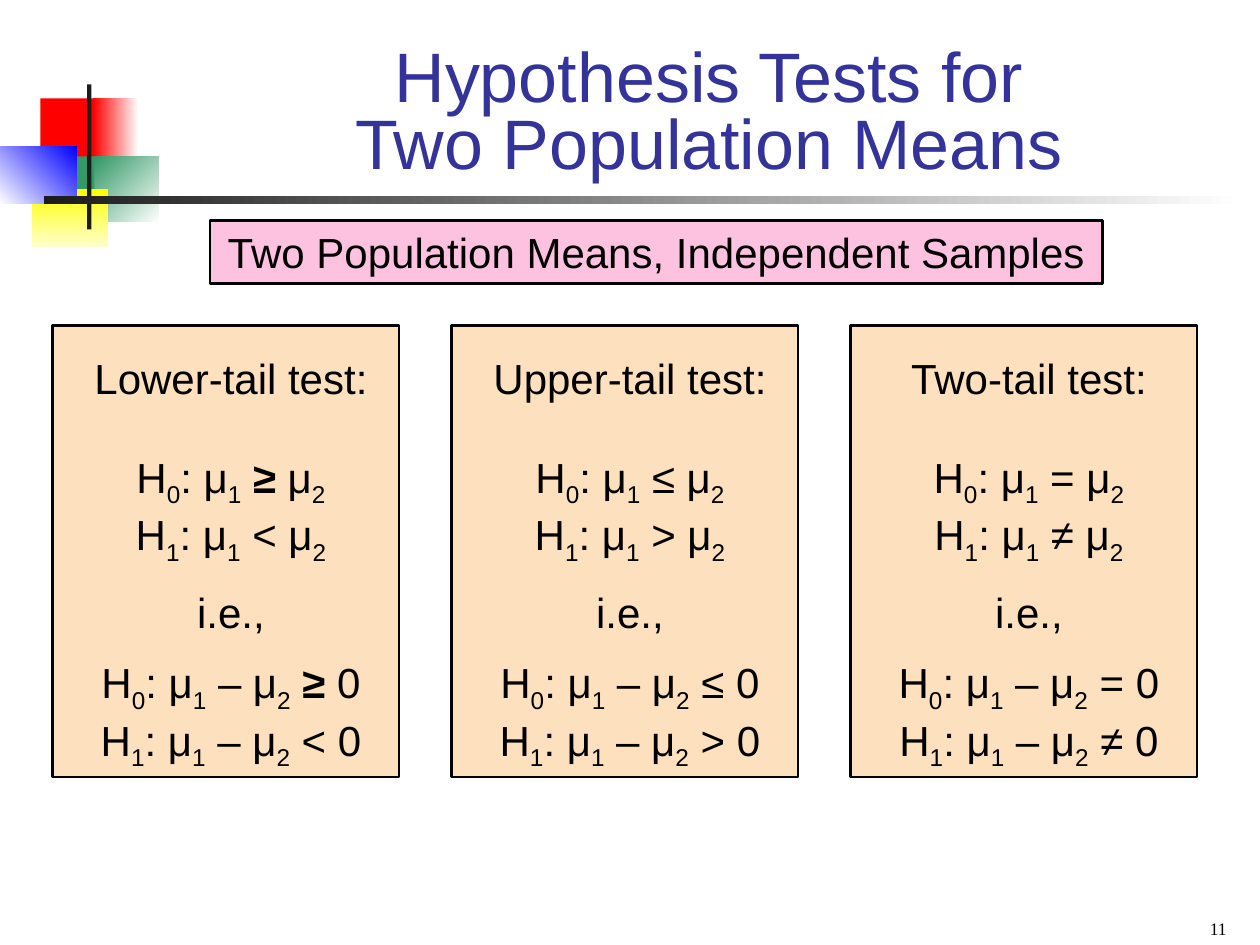
from itertools import groupby

from lxml import etree
from pptx import Presentation
from pptx import util as u
from pptx.dml.color import RGBColor
from pptx.enum import shapes, text
from pptx.oxml.ns import qn

COLORS = {
    "white": "FFFFFF", "black": "000000", "ink": "1C1C1C", "title": "333399",
    "red": "FF0000", "green": "339966", "yellow": "FFFF00", "cream": "FFFFCC",
    "blue": "0000FF", "card": "FDE0BD", "banner": "FCC2E0",
}
SLIDE_W, SLIDE_H = u.Inches(10), u.Inches(7.5)
COLUMNS, ROWS = 120, 90
BODY = {"size": u.Pt(24), "name": "Arial", "color": "black"}
HEADING = {"size": u.Pt(40), "name": "Arial", "color": "title"}
NUMBER = {"size": u.Pt(10), "name": "Times New Roman", "color": "black"}


def rgb(name):
    return RGBColor.from_string(COLORS[name])


def place(box):
    """Turn a box in grid columns and rows into slide lengths."""
    left, top, width, height = box
    col, row = SLIDE_W / COLUMNS, SLIDE_H / ROWS
    return [round(v) for v in (left * col, top * row, width * col, height * row)]


def style(font, look):
    for key, value in look.items():
        if key == "color":
            font.color.rgb = rgb(value)
        else:
            setattr(font, key, value)


def set_frame(frame, **extra):
    values = {"word_wrap": True, "auto_size": text.MSO_AUTO_SIZE.NONE, **extra}
    for key, value in values.items():
        setattr(frame, key, value)


def add_rect(slide, box, fill, angle=None, outline=None):
    """Add a rectangle; a pair of colours with a clockwise angle is a gradient."""
    rect = slide.shapes.add_shape(shapes.MSO_SHAPE.RECTANGLE, *place(box))
    rect.shadow.inherit = False
    if angle is None:
        rect.fill.solid()
        rect.fill.fore_color.rgb = rgb(fill)
    else:
        rect.fill.gradient()
        rect.fill.gradient_angle = 360 - angle
        for stop, position, color in zip(rect.fill.gradient_stops, (0, 1), fill):
            stop.position, stop.color.rgb = position, rgb(color)
    if outline:
        rect.line.color.rgb = rgb(outline)
        rect.line.width = u.Pt(1.5)
    else:
        rect.line.fill.background()
    return rect


def write_formula(paragraph, formula):
    """Write one line: a character after "_" is a subscript, "≥" is bold."""
    marked = [(char, before == "_", char == "≥")
              for before, char in zip(" " + formula, formula) if char != "_"]
    for (subscript, bold), chars in groupby(marked, key=lambda m: m[1:]):
        run = paragraph.add_run()
        run.text = "".join(m[0] for m in chars)
        style(run.font, {**BODY, "bold": bold})
        if subscript:
            run.font._element.set("baseline", "-25000")


def add_ornament(slide, box):
    """Coloured blocks with the crossing bar and the fading rule."""
    left, top, width, height = box
    blocks = [
        (3.84, 1.32, 5.76, 6.24, "red", None),
        (8.88, 1.32, 4.32, 6.24, ("white", "red"), 180),
        (9, 6.84, 6.12, 6.24, ("white", "green"), 225),
        (5.16, 6.84, 3.84, 6.24, "green", None),
        (3, 9.96, 7.32, 5.52, ("yellow", "cream"), 90),
        (0, 5.88, 7.32, 5.52, ("blue", "white"), 135),
        (8.3, 0, 0.4, height, "ink", None),
        (4.2, 10.68, width - 4.2, 0.72, ("white", "ink"), 180),
    ]
    for x, y, w, h, fill, angle in blocks:
        add_rect(slide, (left + x, top + y, w, h), fill, angle)


def add_title(slide, box):
    title = slide.shapes.title
    title.left, title.top, title.width, title.height = place(box)
    set_frame(title.text_frame, vertical_anchor=text.MSO_ANCHOR.BOTTOM)
    title.text_frame.text = "Hypothesis Tests for\vTwo Population Means"
    paragraph = title.text_frame.paragraphs[0]
    paragraph.alignment = text.PP_ALIGN.CENTER
    paragraph.line_spacing = 0.8
    for run in paragraph.runs:
        style(run.font, HEADING)
    for line_break in paragraph._p.findall(qn("a:br")):
        etree.SubElement(line_break, qn("a:rPr"), sz="4000")


def add_banner(slide, box):
    banner = add_rect(slide, box, "banner", outline="black")
    set_frame(banner.text_frame, vertical_anchor=text.MSO_ANCHOR.MIDDLE)
    paragraph = banner.text_frame.paragraphs[0]
    paragraph.alignment = text.PP_ALIGN.CENTER
    write_formula(paragraph, "Two Population Means, Independent Samples")


def add_test_card(slide, box, heading, null, alternative):
    """A card with both forms of one pair of hypotheses."""
    left, top, width, height = box
    add_rect(slide, box, "card", outline="black")
    # The text runs slightly wider than the card
    words = slide.shapes.add_textbox(*place((left - 1, top + 2, width + 3, height - 1.5)))
    set_frame(words.text_frame)
    lines = [  # text, space before in points
        (heading, 0),
        (f"H_0: μ_1 {null} μ_2", 27.6),
        (f"H_1: μ_1 {alternative} μ_2", 0),
        ("i.e.,", 11.5),
        (f"H_0: μ_1 – μ_2 {null} 0", 11.5),
        (f"H_1: μ_1 – μ_2 {alternative} 0", 0),
    ]
    for i, (line, gap) in enumerate(lines):
        paragraph = words.text_frame.add_paragraph() if i else words.text_frame.paragraphs[0]
        paragraph.alignment = text.PP_ALIGN.CENTER
        if gap:
            paragraph.space_before = u.Pt(gap)
        write_formula(paragraph, line)


def add_page_number(slide, box):
    number = slide.shapes.add_textbox(*place(box))
    set_frame(number.text_frame, vertical_anchor=text.MSO_ANCHOR.BOTTOM)
    paragraph = number.text_frame.paragraphs[0]
    paragraph.alignment = text.PP_ALIGN.RIGHT
    run = paragraph.add_run()
    run.text = "11"
    style(run.font, NUMBER)


def main():
    deck = Presentation()
    deck.slide_width, deck.slide_height = SLIDE_W, SLIDE_H
    slide = deck.slides.add_slide(deck.slide_layouts[5])
    add_ornament(slide, (0, 8.04, 118.32, 13.8))
    add_title(slide, (19, 5, 97, 13))
    add_banner(slide, (20, 21, 85, 6))
    tests = [
        ("Lower-tail test:", "≥", "<"),
        ("Upper-tail test:", "≤", ">"),
        ("Two-tail test:", "=", "≠"),
    ]
    for i, test in enumerate(tests):
        add_test_card(slide, (5 + 38 * i, 31, 33, 43), *test)
    add_page_number(slide, (90, 85.8, 28, 4.2))
    deck.save("out.pptx")


if __name__ == "__main__":
    main()
